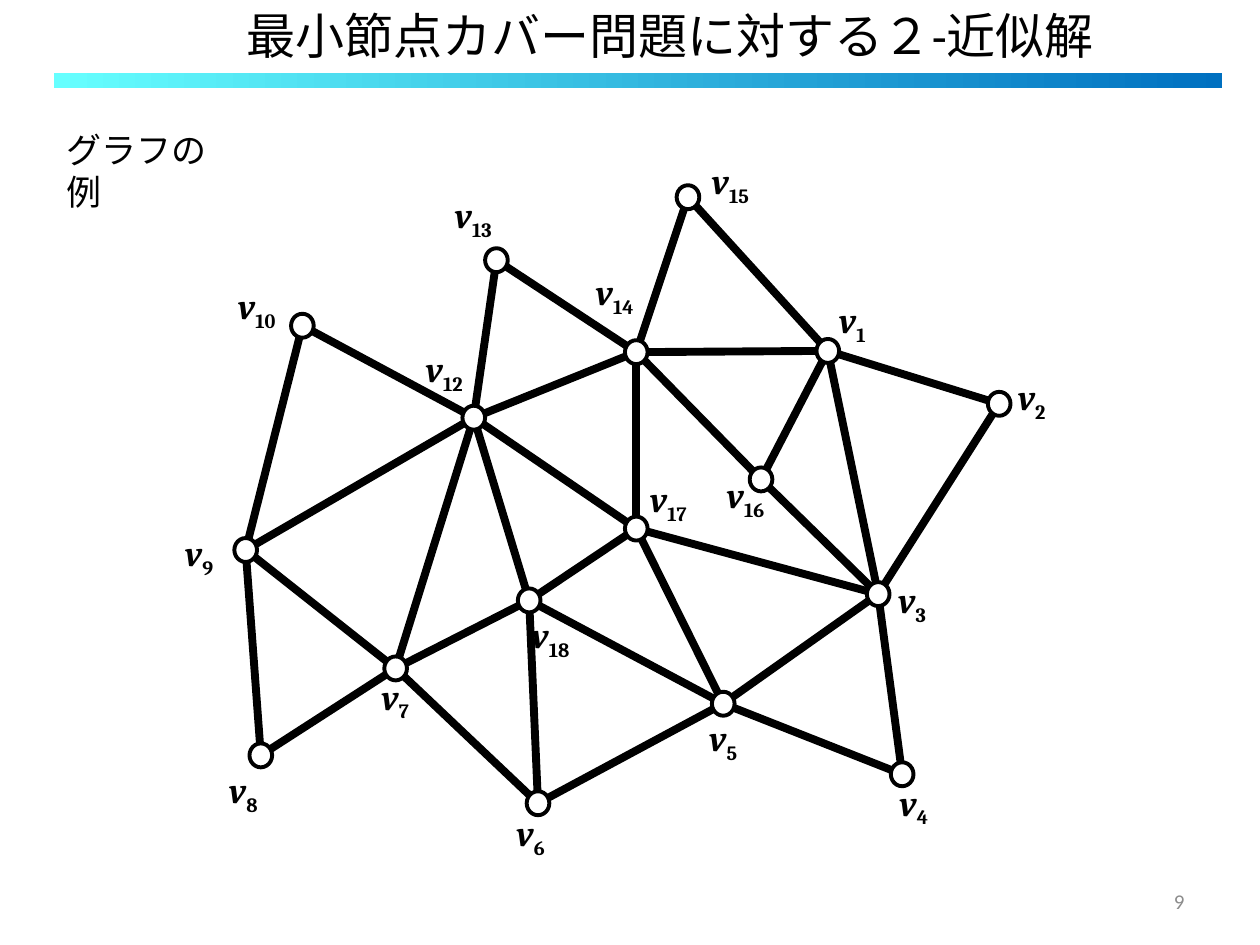
import math
from pptx import Presentation, util as u
from pptx.dml import color
from pptx.enum import shapes, text
from pptx.oxml import ns
from lxml import etree

COLS, ROWS = 100, 75
WIDE, HIGH = u.Inches(10), u.Inches(7.5)
INK, PAPER = "000000", "FFFFFF"
NODE = (1.8, 1.9)
NODES = {
    1: (52.7, 15.85), 2: (66.3, 20.05), 3: (56.7, 35.15), 4: (58.6, 49.45),
    5: (44.4, 43.85), 6: (29.7, 51.75), 7: (18.4, 41.05), 8: (7.7, 47.95),
    9: (6.5, 31.65), 10: (11, 13.85), 12: (24.6, 21.15), 13: (26.4, 8.65),
    14: (37.5, 15.95), 15: (41.6, 3.65), 16: (47.4, 26.05),
    17: (37.5, 29.95), 18: (29, 35.65),
}
NAMES = {
    1: (52, 11.2), 2: (66.2, 17.3), 3: (56.7, 33.4), 4: (56.8, 49.5),
    5: (41.7, 44.4), 6: (26.4, 51.9), 7: (15.7, 41.1), 8: (3.6, 48.5),
    9: (0.1, 29.7), 10: (4.3, 10.1), 12: (19.2, 15.1), 13: (21.5, 2.9),
    14: (32.7, 9), 15: (41.9, 0.2), 16: (43.1, 25.1), 17: (37, 25.4),
    18: (27.6, 36.2),
}
EDGES = {
    1: (2, 3, 14, 15, 16), 2: (3,), 3: (4, 5, 16, 17), 4: (5,),
    5: (6, 17, 18), 6: (7, 18), 7: (8, 9, 12, 18), 8: (9,), 9: (10, 12),
    10: (12,), 12: (13, 14, 17, 18), 13: (14,), 14: (15, 16, 17), 17: (18,),
}


def grid(*vals):
    """Turn alternating columns and rows into slide lengths."""
    unit = (WIDE / COLS, HIGH / ROWS)
    return [u.Emu(round(v * unit[i % 2])) for i, v in enumerate(vals)]


def rgb(code):
    """Read a hex colour."""
    return color.RGBColor.from_string(code)


def apply(item, form):
    """Set each attribute in a dict of format values."""
    for key, val in form.items():
        setattr(item, key, val)


def write(slide, box, runs, align="LEFT", anchor="TOP", **frame):
    """Place a text box of one paragraph made of (words, format) runs."""
    body = slide.shapes.add_textbox(*grid(*box)).text_frame
    apply(body, {"word_wrap": True, "vertical_anchor": text.MSO_ANCHOR[anchor], **frame})
    para = body.paragraphs[0]
    para.alignment = text.PP_ALIGN[align]
    for words, form in runs:
        run = para.add_run()
        run.text = words
        form = {"name": "Calibri", "tint": INK, **form}
        run.font.color.rgb = rgb(form.pop("tint"))
        apply(run.font, form)
    return para


def head(slide, box):
    """Draw the title above its gradient rule."""
    x, y, w, h = box
    bar = slide.shapes.add_shape(shapes.MSO_SHAPE.RECTANGLE, *grid(x, y + h - 1.2, w, 1.2))
    bar.shadow.inherit = False
    bar.line.fill.background()
    bar.fill.gradient()
    bar.fill.gradient_angle = 0
    for stop, code in zip(bar.fill.gradient_stops, ("66FFFF", "0070C0")):
        stop.color.rgb = rgb(code)
    write(slide, (x + 9, y - 3.5, 79.8, 12.5),
          [("最小節点カバー問題に対する２-近似解", {"size": u.Pt(28)})], "CENTER", "MIDDLE")


def edge(slide, start, end):
    """Join two nodes from rim to rim."""
    gap = math.dist(start, end)
    dx, dy = ((b - a) / gap * NODE[0] / 2 for a, b in zip(start, end))
    ends = grid(start[0] + dx, start[1] + dy, end[0] - dx, end[1] - dy)
    link = slide.shapes.add_connector(shapes.MSO_CONNECTOR.STRAIGHT, *ends)
    link.line.color.rgb = rgb(INK)
    link.line.width = u.Pt(4.5)
    etree.SubElement(link._element.spPr, ns.qn("a:effectLst"))


def node(slide, mid):
    """Draw one round node about its centre."""
    w, h = NODE
    dot = slide.shapes.add_shape(
        shapes.MSO_SHAPE.OVAL, *grid(mid[0] - w / 2, mid[1] - h / 2, w, h))
    dot.shadow.inherit = False
    dot.fill.solid()
    dot.fill.fore_color.rgb = rgb(PAPER)
    dot.line.color.rgb = rgb(INK)
    dot.line.width = u.Pt(2.25)


def label(slide, spot, num):
    """Write the name of a node with its number as a subscript."""
    base = {"name": "Cambria", "size": u.Pt(20)}
    runs = [(" ", base), ("v", {**base, "bold": True, "italic": True}),
            (str(num), {**base, "bold": True, "italic": False})]
    para = write(slide, (*spot, 5.4 if num < 10 else 6.5, 4.4), runs, margin_right=0)
    para.runs[-1]._r.get_or_add_rPr().set("baseline", "-25000")


def graph(slide, box):
    """Draw edges, nodes and names from the corner of the box."""
    def at(pos):
        """Shift a position into the box."""
        return box[0] + pos[0], box[1] + pos[1]

    for one, rest in EDGES.items():
        for two in rest:
            edge(slide, at(NODES[one]), at(NODES[two]))
    for mid in NODES.values():
        node(slide, at(mid))
    for num, spot in NAMES.items():
        label(slide, at(spot), num)


def main():
    """Build and save the slide."""
    deck = Presentation()
    deck.slide_width, deck.slide_height = WIDE, HIGH
    slide = deck.slides.add_slide(deck.slide_layouts[6])
    graph(slide, (13, 12, 72, 57))
    head(slide, (4.3, 0, 92.7, 7))
    write(slide, (4.3, 9.7, 14.8, 4.4), [("グラフの例", {"size": u.Pt(20)})])
    write(slide, (71.7, 69.5, 23.3, 4),
          [("9", {"size": u.Pt(12), "tint": "8C8C8C"})], "RIGHT", "MIDDLE")
    deck.save("out.pptx")


if __name__ == "__main__":
    main()
